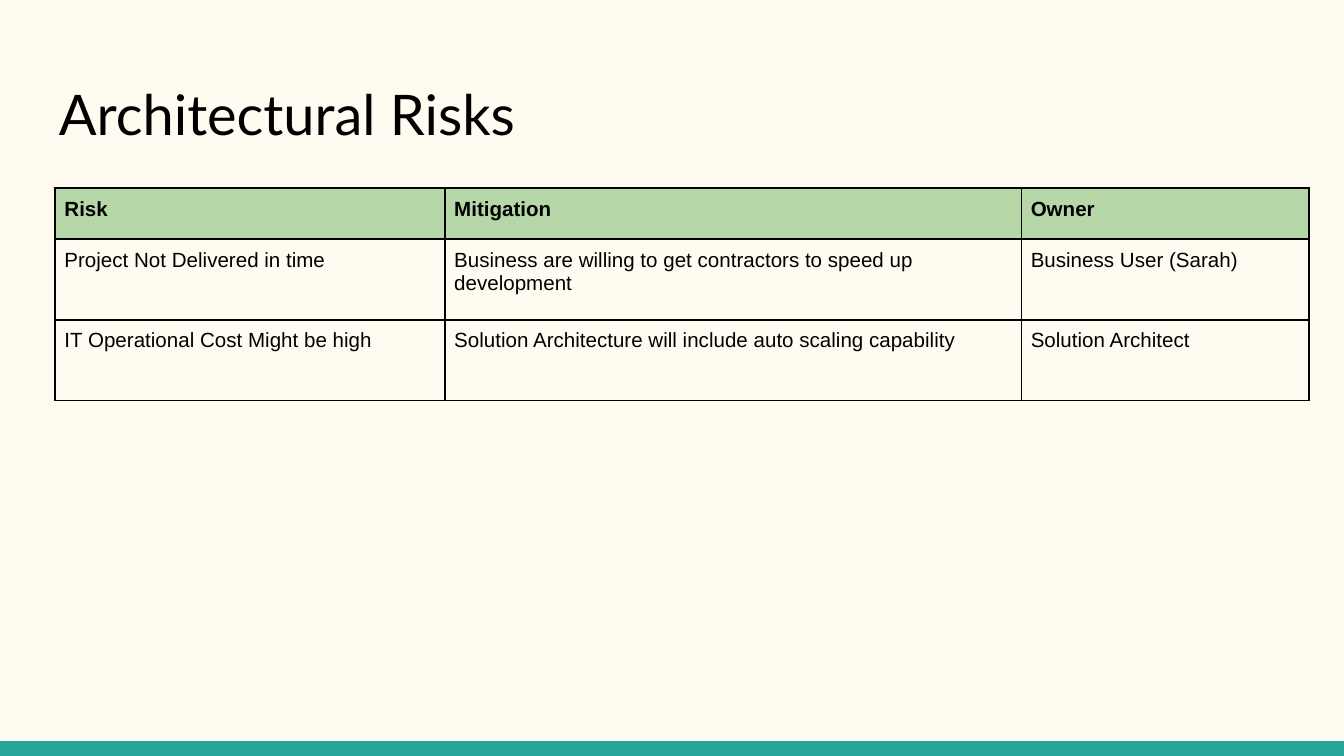
from lxml.etree import SubElement
from pptx import Presentation
from pptx.dml.color import RGBColor
from pptx.enum.shapes import MSO_SHAPE
from pptx.enum.text import MSO_ANCHOR
from pptx.oxml.ns import qn
from pptx.util import Inches, Pt

TITLE = "Architectural Risks"
ROWS = [
    ("Risk", "Mitigation", "Owner"),
    ("Project Not Delivered in time",
     "Business are willing to get contractors to speed up development",
     "Business User (Sarah)"),
    ("IT Operational Cost Might be high",
     "Solution Architecture will include auto scaling capability",
     "Solution Architect"),
]
COLUMN_WIDTHS = [2.9, 4.29, 2.14]
ROW_HEIGHTS = [0.38, 0.6, 0.6]
SLIDE_WIDTH = 10
SLIDE_HEIGHT = SLIDE_WIDTH * 9 / 16
BAR_HEIGHT = 0.11
CREAM, TEAL, GREEN, BLACK = "FFFBF0", "26A69A", "B6D7A8", "000000"


def color(hex_string):
    return RGBColor.from_string(hex_string)


def set_margins(target, inches):
    target.margin_left = target.margin_right = Inches(inches)
    target.margin_top = target.margin_bottom = Inches(inches)


def write(frame, text, font_name, size, bold=False):
    run = frame.paragraphs[0].add_run()
    run.text = text
    run.font.name = font_name
    run.font.size = Pt(size)
    run.font.bold = bold
    run.font.color.rgb = color(BLACK)


def add_borders(cell, hex_string, points):
    """Line all four sides; call before setting the cell's fill."""
    properties = cell._tc.get_or_add_tcPr()
    for side in ("lnL", "lnR", "lnT", "lnB"):
        line = SubElement(properties, qn(f"a:{side}"), w=str(Pt(points)))
        fill = SubElement(line, qn("a:solidFill"))
        SubElement(fill, qn("a:srgbClr"), val=hex_string)


def add_bar(slide):
    bar = slide.shapes.add_shape(
        MSO_SHAPE.RECTANGLE, 0, Inches(SLIDE_HEIGHT - BAR_HEIGHT),
        Inches(SLIDE_WIDTH), Inches(BAR_HEIGHT))
    bar.shadow.inherit = False
    bar.fill.solid()
    bar.fill.fore_color.rgb = color(TEAL)
    bar.line.fill.background()


def add_title(slide):
    title = slide.shapes.add_textbox(
        Inches(0.34), Inches(0.49), Inches(9.32), Inches(0.67))
    frame = title.text_frame
    frame.word_wrap = True
    frame.vertical_anchor = MSO_ANCHOR.TOP
    set_margins(frame, 0.1)
    write(frame, TITLE, "Lato", 30)


def add_risk_table(slide):
    table = slide.shapes.add_table(
        len(ROWS), len(COLUMN_WIDTHS), Inches(0.41), Inches(1.4),
        Inches(sum(COLUMN_WIDTHS)), Inches(sum(ROW_HEIGHTS))).table
    table.horz_banding = False
    for column, width in zip(table.columns, COLUMN_WIDTHS):
        column.width = Inches(width)
    for row_index, (row, height) in enumerate(zip(table.rows, ROW_HEIGHTS)):
        row.height = Inches(height)
        is_header = row_index == 0
        for cell, text in zip(row.cells, ROWS[row_index]):
            set_margins(cell, 0.07)
            add_borders(cell, BLACK, 1)
            if is_header:
                cell.fill.solid()
                cell.fill.fore_color.rgb = color(GREEN)
            else:
                cell.fill.background()
            write(cell.text_frame, text, "Arial", 11, bold=is_header)


def main():
    presentation = Presentation()
    presentation.slide_width = Inches(SLIDE_WIDTH)
    presentation.slide_height = Inches(SLIDE_HEIGHT)
    slide = presentation.slides.add_slide(presentation.slide_layouts[6])
    slide.background.fill.solid()
    slide.background.fill.fore_color.rgb = color(CREAM)
    add_bar(slide)
    add_title(slide)
    add_risk_table(slide)
    presentation.save("out.pptx")


if __name__ == "__main__":
    main()
